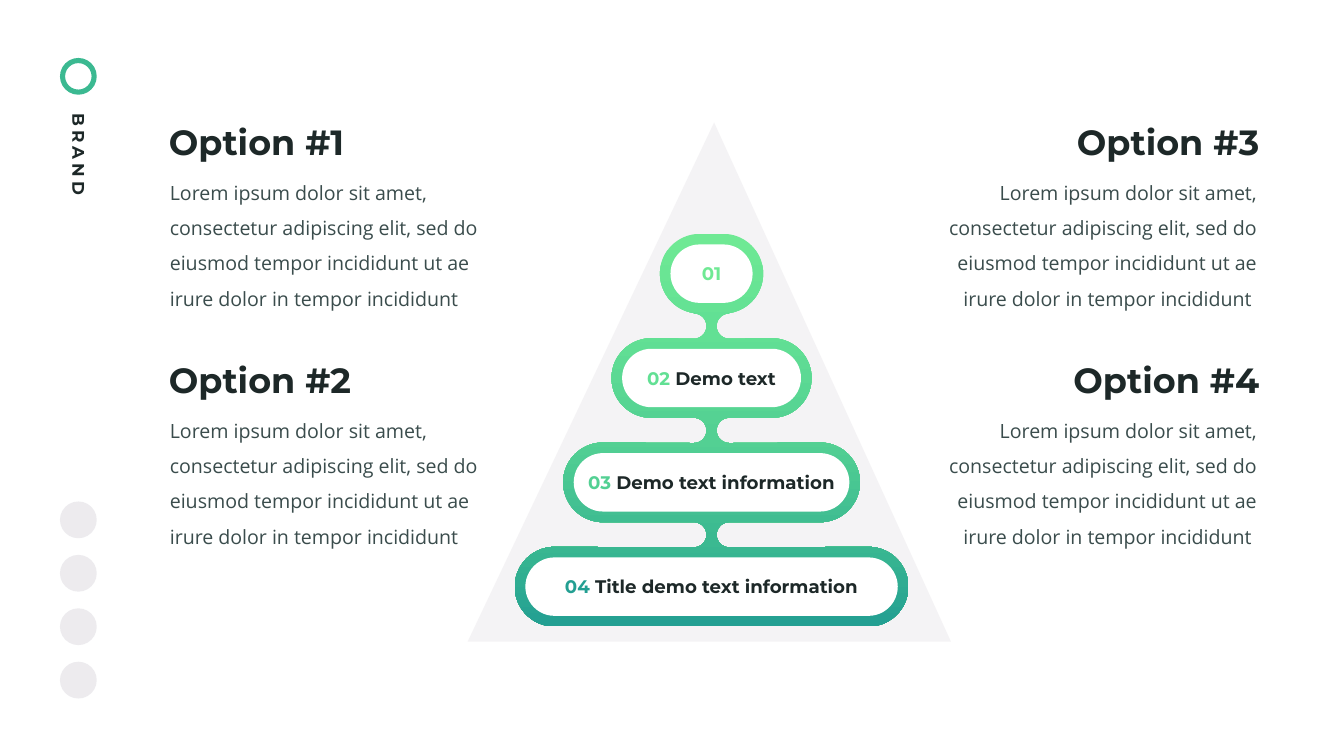
"""Build a pyramid infographic slide with four levels and four option texts."""
from math import cos, radians, sin

from lxml.etree import SubElement
from pptx import Presentation
from pptx.dml.color import RGBColor as RGB
from pptx.enum.shapes import MSO_SHAPE as SHAPE
from pptx.enum.text import MSO_ANCHOR as ANCHOR, MSO_AUTO_SIZE as AUTO, PP_ALIGN as ALIGN
from pptx.oxml.ns import qn
from pptx.util import Inches, Pt

THEME = {
    "dark": "1D2828", "body": "3A4C4C", "white": "FFFFFF", "logo": "3BB991",
    "social": ("DEDBE1", 54), "pyramid": ("DFDCE1", 32),
    "gradient": {0: "6FE994", 24: "62E094", 52: "53D093", 78: "3BB991", 100: "239F92"},
    "levels": ["6FE994", "62E094", "53D093", "239F92"],
    "heading_font": {"name": "Montserrat", "bold": True},
    "body_font": {"name": "Open Sans", "bold": False, "size": Pt(28)},
    "brand_size": Pt(24), "label_size": Pt(26), "heading_size": Pt(50),
}
LOREM = ("Lorem ipsum dolor sit amet, consectetur adipiscing elit, sed do "
         "eiusmod tempor incididunt ut ae irure dolor in tempor incididunt")
LABELS = ["", "Demo text", "Demo text information", "Title demo text information"]


def add_run(p, text, color, **font):
    r = p.add_run()
    r.text = text
    for name, value in font.items():
        setattr(r.font, name, value)
    r.font.color.rgb = RGB.from_string(color)
    return r


def paint(sp, color, alpha=100):
    sp.shadow.inherit = False
    sp.line.fill.background()
    sp.fill.solid()
    sp.fill.fore_color.rgb = RGB.from_string(color)
    if alpha < 100:
        clr = sp.fill._xPr.find(qn("a:solidFill"))[0]
        SubElement(clr, qn("a:alpha"), val=str(alpha * 1000))


prs = Presentation()
prs.slide_width, prs.slide_height = Inches(26.67), Inches(15)
col, row = prs.slide_width / 26.67, prs.slide_height / 15
s = prs.slides.add_slide(prs.slide_layouts.get_by_name("Comparison"))
s.shapes.title._element.getparent().remove(s.shapes.title._element)
head_font = THEME["heading_font"]

badge = 0.73
badge_x = int(1.19 * col)
size = int(badge * col)
sp = s.shapes.add_shape(SHAPE.DONUT, badge_x, int(1.15 * row), size, size)
sp.adjustments[0] = 0.14
paint(sp, THEME["logo"])
for i in range(4):
    sp = s.shapes.add_shape(SHAPE.OVAL, badge_x, int((9.95 + 1.06 * i) * row), size, size)
    paint(sp, *THEME["social"])

sp = s.shapes.add_textbox(int(0.52 * col), int(2.99 * row), int(2.05 * col), int(0.46 * row))
sp.rotation = 90
tf = sp.text_frame
for name in ("margin_left", "margin_right", "margin_top", "margin_bottom"):
    setattr(tf, name, Inches(0.05))
p = tf.paragraphs[0]
p.line_spacing = 0.9
r = add_run(p, "BRAND", THEME["dark"], size=THEME["brand_size"], **head_font)
r._r.get_or_add_rPr().set("spc", "600")

sp = s.shapes.add_shape(SHAPE.ISOSCELES_TRIANGLE, int(9.28 * col), int(2.43 * row),
                        int(9.59 * col), int(10.3 * row))
sp.adjustments[0] = 0.51
paint(sp, *THEME["pyramid"])

cx, radius, fillet, neck, rim = 14.12, 0.79, 0.25, 0.1, 0.21
levels = [(5.43 + 2.07 * i, 2.05 + 1.92 * i) for i in range(4)]
right = []
for i, (y, width) in enumerate(levels):
    arcs = [(cx + width / 2 - radius, y, radius, range(-90, 91, 5))]
    if i < 3:
        arcs.append((cx + neck + fillet, y + radius + fillet, fillet, range(-90, -271, -10)))
    for x0, y0, rad, angles in arcs:
        right += [(x0 + rad * cos(radians(a)), y0 + rad * sin(radians(a))) for a in angles]
left = [(2 * cx - x, y) for x, y in reversed(right)]
outline = [(x * col, y * row) for x, y in right + left]
fb = s.shapes.build_freeform(*outline[0])
fb.add_line_segments(outline[1:])
sp = fb.convert_to_shape()
paint(sp, THEME["logo"])
sp.fill.gradient()
sp.fill.gradient_angle = 270
stops = sp.fill._xPr.find(qn("a:gradFill")).find(qn("a:gsLst"))
for gs in list(stops):
    stops.remove(gs)
for pos, color in THEME["gradient"].items():
    gs = SubElement(stops, qn("a:gs"), pos=str(pos * 1000))
    SubElement(gs, qn("a:srgbClr"), val=color)

for i, (y, width) in enumerate(levels):
    w, h = width - 2 * rim, 2 * (radius - rim)
    sp = s.shapes.add_shape(SHAPE.ROUNDED_RECTANGLE, int((cx - w / 2) * col),
                            int((y - h / 2) * row), int(w * col), int(h * row))
    sp.adjustments[0] = 0.5
    paint(sp, THEME["white"])
    tf = sp.text_frame
    tf.word_wrap = False
    p = tf.paragraphs[0]
    p.alignment = ALIGN.CENTER
    font = {"size": THEME["label_size"], **head_font}
    add_run(p, f"0{i + 1} " if LABELS[i] else f"0{i + 1}", THEME["levels"][i], **font)
    if LABELS[i]:
        add_run(p, LABELS[i], THEME["dark"], **font)

sides = [(3.27, 3.3, ALIGN.LEFT, LOREM), (18.51, 19.99, ALIGN.RIGHT, LOREM + " ")]
for i, body in enumerate(s.placeholders):
    body_x, head_x, align, text = sides[i // 2]
    top = 2.35 + 4.72 * (i % 2)
    sp = s.shapes.add_textbox(int(head_x * col), int(top * row), int(5.05 * col), int(0.94 * row))
    tf = sp.text_frame
    for name, value in {"word_wrap": True, "margin_left": Inches(0.05),
                        "margin_right": Inches(0.05), "margin_top": Inches(0.05)}.items():
        setattr(tf, name, value)
    p = tf.paragraphs[0]
    p.alignment = align
    add_run(p, f"Option #{i + 1}", THEME["dark"], size=THEME["heading_size"], **head_font)

    for name, value in {"left": body_x * col, "top": (top + 0.95) * row,
                        "width": 6.53 * col, "height": 2.85 * row}.items():
        setattr(body, name, int(value))
    tf = body.text_frame
    for name, value in {"word_wrap": True, "auto_size": AUTO.NONE,
                        "vertical_anchor": ANCHOR.TOP}.items():
        setattr(tf, name, value)
    p = tf.paragraphs[0]
    for name, value in {"alignment": align, "line_spacing": 1.5, "space_before": Pt(0)}.items():
        setattr(p, name, value)
    pPr = p._p.get_or_add_pPr()
    for name in ("marL", "indent"):
        pPr.set(name, "0")
    SubElement(pPr, qn("a:buNone"))
    add_run(p, text, THEME["body"], **THEME["body_font"])

prs.save("out.pptx")
